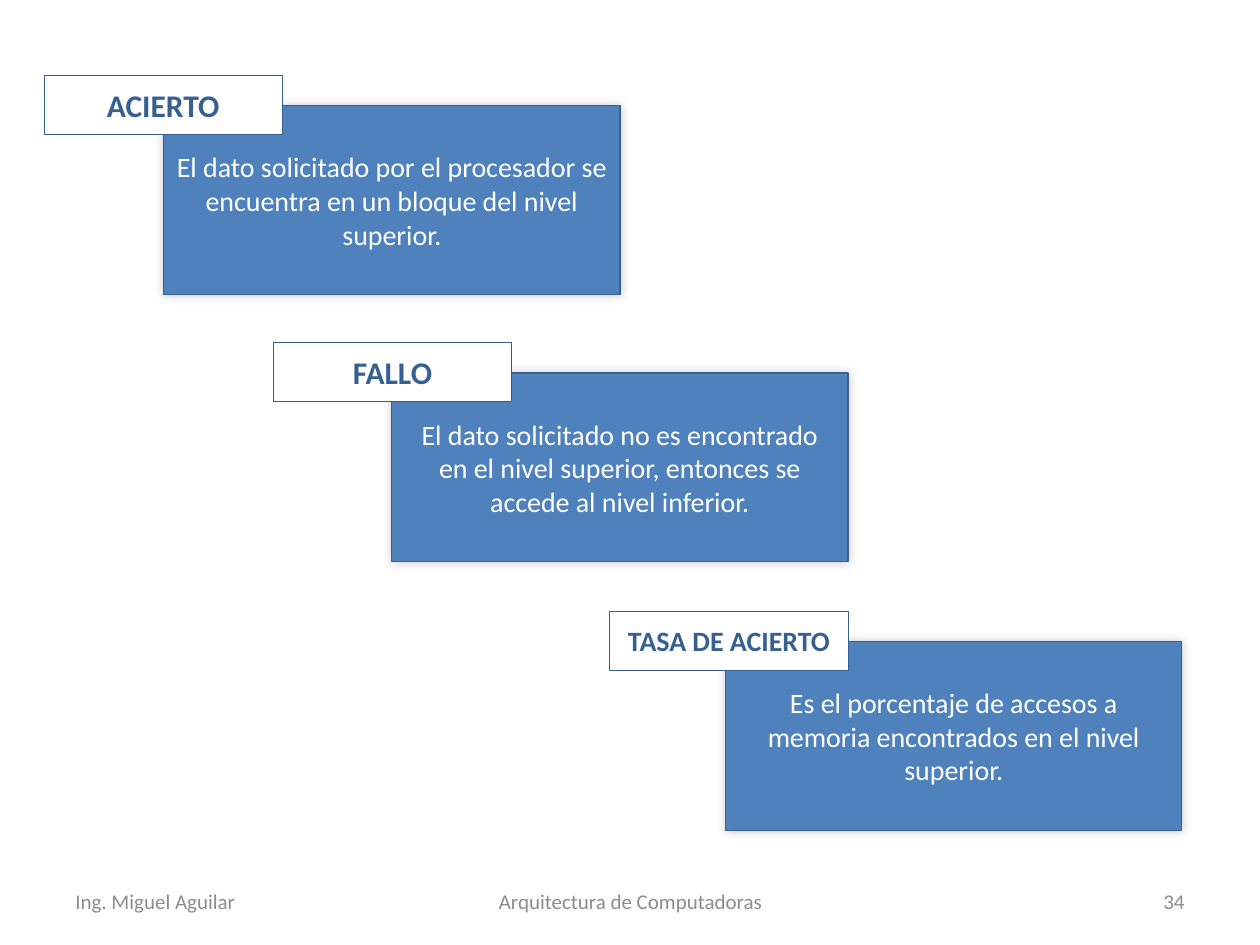
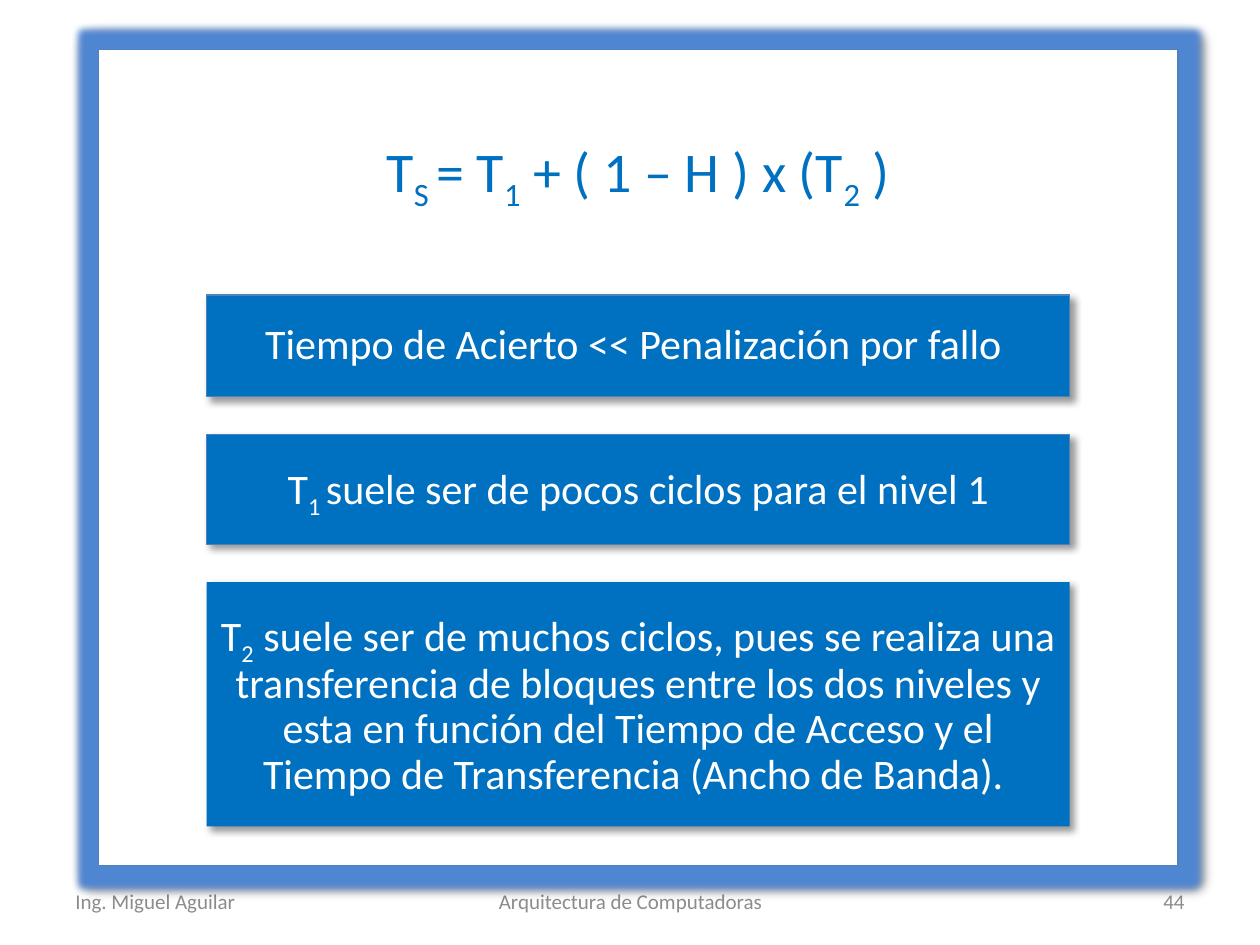
from pptx import Presentation, util as u
from pptx.dml.color import RGBColor
from pptx.enum import shapes, text
from pptx.oxml import parse_xml
from pptx.oxml.ns import nsdecls, qn

PX = 9144  # EMU per px, 100 px to the inch
FONT = "Calibri"
WHITE, BLUE, DEEP, EDGE = "FFFFFF", "4F81BD", "0070C0", "3A5F8C"
NAVY, GREY = "376092", "8C8C8C"
LEFT, MID, RIGHT = text.PP_ALIGN.LEFT, text.PP_ALIGN.CENTER, text.PP_ALIGN.RIGHT

# Shadows: opacity %, blur pt, distance pt, angle
SOFT = (20, 6, 0, 315)
DROP = (40, 4, 3, 45)


def rgb(code):
    return RGBColor.from_string(code)


def apply(item, form):
    for name, value in form.items():
        setattr(item, name, value)


class Deck:
    def __init__(self):
        self.prs = Presentation()
        self.prs.slide_width = 1000 * PX
        self.prs.slide_height = 750 * PX
        self.slide = None

    def page(self, num):
        """Start a slide with its footer."""
        self.slide = self.prs.slides.add_slide(self.prs.slide_layouts[6])
        foot = [(50, 233, "Ing. Miguel Aguilar", LEFT),
                (342, 317, "Arquitectura de Computadoras", MID),
                (717, 233, str(num), RIGHT)]
        for x, w, words, side in foot:
            self.label((x, 695, w, 40), words, 12, GREY, side)

    def fill_text(self, shape, words, size, color, side=MID, bold=False,
                  lead=None, pad=(10, 5)):
        """Put in text; every second part between bars is a subscript."""
        frame = shape.text_frame
        wide, high = (n * PX for n in pad)
        apply(frame, {"word_wrap": True,
                      "vertical_anchor": text.MSO_ANCHOR.MIDDLE,
                      "margin_left": wide, "margin_right": wide,
                      "margin_top": high, "margin_bottom": high})
        para = frame.paragraphs[0]
        apply(para, {"alignment": side, "line_spacing": lead})
        for i, part in enumerate(words.split("|")):
            run = para.add_run()
            run.text = part
            apply(run.font, {"name": FONT, "size": u.Pt(size), "bold": bold})
            run.font.color.rgb = rgb(color)
            if i % 2:
                run.font._element.set("baseline", "-25000")

    def label(self, at, words, size, color, side=MID, **form):
        box = self.slide.shapes.add_textbox(*(n * PX for n in at))
        self.fill_text(box, words, size, color, side, **form)

    def rect(self, at, fill, line=None, width=0.75, shade=None, glow=None):
        box = self.slide.shapes.add_shape(
            shapes.MSO_SHAPE.RECTANGLE, *(n * PX for n in at))
        box.fill.solid()
        box.fill.fore_color.rgb = rgb(fill)
        if line:
            box.line.color.rgb = rgb(line)
            box.line.width = u.Pt(width)
        else:
            box.line.fill.background()
        box.shadow.inherit = False
        self.effect(box, shade, glow)
        return box

    def effect(self, box, shade, glow):
        """Add a glow (colour, pt) and an outer shadow."""
        group = box._element.spPr.find(qn("a:effectLst"))
        space = nsdecls("a")
        if glow:
            color, size = glow
            group.append(parse_xml(
                f'<a:glow {space} rad="{u.Pt(size)}">'
                f'<a:srgbClr val="{color}"/></a:glow>'))
        if shade:
            alpha, blur, dist, turn = shade
            group.append(parse_xml(
                f'<a:outerShdw {space} blurRad="{u.Pt(blur)}" '
                f'dist="{u.Pt(dist)}" dir="{turn * 60000}" rotWithShape="0">'
                f'<a:srgbClr val="000000"><a:alpha val="{alpha * 1000}"/>'
                f'</a:srgbClr></a:outerShdw>'))

    def card(self, x, y, tag_x, head, size, words):
        """Blue box with a white tag over its top left corner."""
        box = self.rect((x, y, 362, 150), BLUE, EDGE, shade=SOFT)
        self.fill_text(box, words, 16, WHITE)
        tag = self.rect((tag_x, y - 24, 189, 47), WHITE, NAVY, 0.5)
        self.fill_text(tag, head, size, NAVY, bold=True)

    def bar(self, y, high, line, words):
        box = self.rect((164, y, 685, high), DEEP, line, shade=DROP)
        self.fill_text(box, words, 24, WHITE, lead=0.9, pad=(7, 5))


def main():
    deck = Deck()

    # Hit, miss and hit rate as a staircase of cards
    deck.page(34)
    cards = [
        (130, 35, "ACIERTO", 18, "El dato solicitado por el procesador se "
         "encuentra en un bloque del nivel superior."),
        (311, 217, "FALLO", 18, "El dato solicitado no es encontrado en el "
         "nivel superior, entonces se accede al nivel inferior."),
        (576, 484, "TASA DE ACIERTO", 16, "Es el porcentaje de accesos a "
         "memoria encontrados en el nivel superior."),
    ]
    for i, (x, tag_x, head, size, words) in enumerate(cards):
        deck.card(x, 84 + i * 425 // 2, tag_x, head, size, words)

    # Access time formula in a glowing frame
    deck.page(44)
    deck.rect((78, 39, 857, 648), WHITE, BLUE, shade=DROP, glow=("4F86D2", 8))
    deck.label((78, 39, 857, 195), "T|S |= T|1| + ( 1 – H ) x (T|2| )",
               32, DEEP, lead=0.9, pad=(13, 13))

    # Remarks, stacked with equal gaps
    bars = [
        (81, BLUE, "Tiempo de Acierto << Penalización por fallo "),
        (87, BLUE, "T|1 |suele ser de pocos ciclos para el nivel 1"),
        (194, None, "T|2| suele ser de muchos ciclos, pues se realiza una "
         "transferencia de bloques entre los dos niveles y esta en función "
         "del Tiempo de Acceso y el Tiempo de Transferencia "
         "(Ancho de Banda). "),
    ]
    y, gap = 234, 30
    for high, line, words in bars:
        deck.bar(y, high, line, words)
        y += high + gap

    deck.prs.save("out.pptx")


if __name__ == "__main__":
    main()
